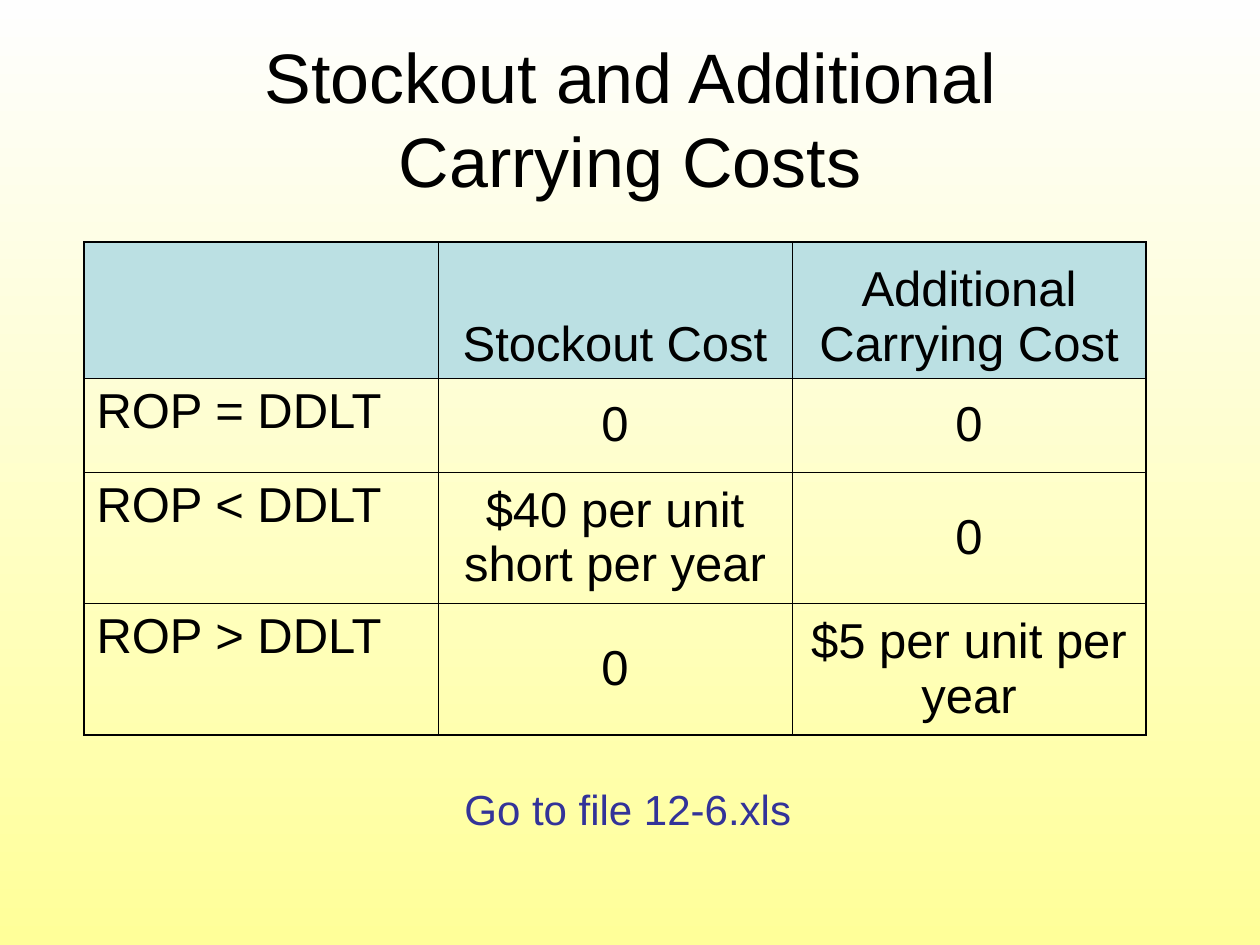
from lxml import etree
from pptx import Presentation
from pptx import util as u
from pptx.dml.color import RGBColor
from pptx.enum import text
from pptx.oxml.ns import qn

BLACK = RGBColor(0x00, 0x00, 0x00)
NEAR_WHITE = RGBColor(0xFE, 0xFE, 0xFE)
YELLOW = RGBColor(0xFF, 0xFF, 0x99)
PALE_TEAL = RGBColor(0xBB, 0xE0, 0xE3)
INDIGO = RGBColor(0x33, 0x33, 0x99)
THIN, THICK = u.Pt(0.45), u.Pt(1.08)
CENTER, LEFT = text.PP_ALIGN.CENTER, text.PP_ALIGN.LEFT
TOP, MIDDLE, BOTTOM = (text.MSO_ANCHOR.TOP, text.MSO_ANCHOR.MIDDLE,
                       text.MSO_ANCHOR.BOTTOM)


def px(count):
    return u.Emu(round(count * 914400 / 126))


def write(frame, words, size=28, color=BLACK, align=CENTER):
    para = frame.paragraphs[0]
    para.text = words
    para.alignment = align
    para.font.name = "Arial"
    para.font.size = u.Pt(size)
    para.font.color.rgb = color


deck = Presentation()
deck.slide_width, deck.slide_height = px(1260), px(945)
page = deck.slides.add_slide(deck.slide_layouts[6])

backdrop = page.background.fill
backdrop.gradient()
backdrop.gradient_angle = 270
for stop, color, position in zip(backdrop.gradient_stops, (NEAR_WHITE, YELLOW), (0, 1)):
    stop.color.rgb = color
    stop.position = position

title = page.shapes.add_textbox(px(63), px(38), px(1134), px(158)).text_frame
title.word_wrap = True
title.vertical_anchor = MIDDLE
write(title, "Stockout and Additional\nCarrying Costs", size=40)

costs = [
    ["", "Stockout Cost", "Additional Carrying Cost"],
    ["ROP = DDLT", "0", "0"],
    ["ROP < DDLT", "$40 per unit short per year", "0"],
    ["ROP > DDLT", "0", "$5 per unit per year"],
]
row_heights = [136, 94, 131, 132]
column_width = 354
last_row, last_column = len(costs) - 1, len(costs[0]) - 1

table = page.shapes.add_table(
    len(costs), len(costs[0]), px(84), px(242),
    px(column_width * len(costs[0])), px(sum(row_heights))).table
table.first_row = table.horz_banding = False
for column in table.columns:
    column.width = px(column_width)

for r, (row, height) in enumerate(zip(costs, row_heights)):
    table.rows[r].height = px(height)
    for c, words in enumerate(row):
        cell = table.cell(r, c)
        write(cell.text_frame, words, align=CENTER if c else LEFT)
        cell.vertical_anchor = BOTTOM if r == 0 else MIDDLE if c else TOP

        # The outer frame is thicker than the inner grid.
        outer_sides = {"lnL": c == 0, "lnR": c == last_column,
                       "lnT": r == 0, "lnB": r == last_row}
        properties = cell._tc.get_or_add_tcPr()
        for side, outer in outer_sides.items():
            line = etree.SubElement(properties, qn(f"a:{side}"),
                                    w=str(THICK if outer else THIN))
            paint = etree.SubElement(line, qn("a:solidFill"))
            etree.SubElement(paint, qn("a:srgbClr"), val=str(BLACK))

        if r == 0:
            cell.fill.solid()
            cell.fill.fore_color.rgb = PALE_TEAL
        else:
            cell.fill.background()

file_note = page.shapes.add_textbox(px(452), px(777), px(352), px(63)).text_frame
file_note.word_wrap = False
file_note.auto_size = text.MSO_AUTO_SIZE.SHAPE_TO_FIT_TEXT
write(file_note, "Go to file 12-6.xls", size=24, color=INDIGO, align=LEFT)

deck.save("out.pptx")
